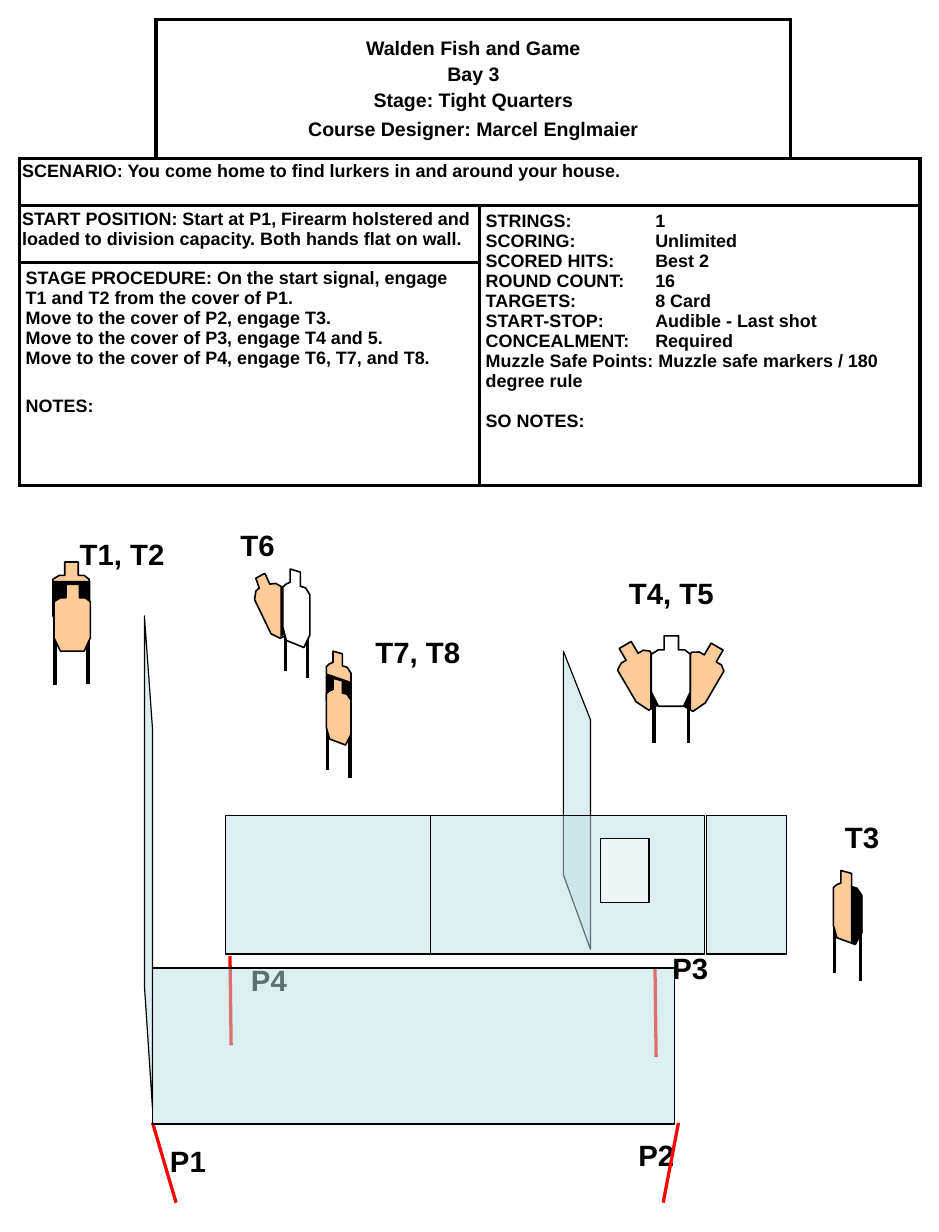
from dataclasses import dataclass
from typing import Optional, Union

from lxml import etree
from pptx import Presentation
from pptx.dml.color import RGBColor
from pptx.enum import shapes, text
from pptx.oxml import ns
from pptx.util import Pt

BLACK = RGBColor(0, 0, 0)
WHITE = RGBColor(0xFF, 0xFF, 0xFF)
RED = RGBColor(0xFF, 0, 0)
CARDBOARD = RGBColor(0xFF, 0xCC, 0x99)
WALL = RGBColor(0xBB, 0xE0, 0xE3)
FONT = "Arial"

FRONT = [(.33, 0), (.7, 0), (.7, .2), (.86, .2), (1, .26), (1, .8), (.83, 1), (.18, 1),
         (0, .8), (0, .26), (.18, .2), (.33, .2)]
ANGLED = [(.65, .04), (.27, 0), (.27, .17), (.13, .19), (0, .23), (0, .74), (.13, .91),
          (.78, 1), (1, .84), (1, .33), (.84, .24), (.65, .22)]
TILTED = [(.22, 0), (.03, .07), (.11, .22), (.03, .27), (0, .4), (.39, .93), (.61, 1),
          (1, .87), (.97, .65), (.64, .2), (.5, .15), (.36, .16), (.25, 0)]
FRONT_COVER = [(0, 0), (1, 0), (1, .73), (.8, 1), (.18, 1), (0, .73)]
ANGLED_COVER = [(1, .2), (1, .81), (.8, 1), (.2, .92), (0, .67), (.03, 0)]
HALF_COVER = [(1, .82), (.35, 1), (0, .98), (0, 0), (.35, .02), (1, .17)]
LEFT_COVER = [(0, 1), (1, .8), (.95, .55), (0, 0)]
RIGHT_COVER = [(1 - x, y) for x, y in LEFT_COVER]
SIDE_WALL = [(1, 1), (1, .23), (0, 0), (0, .75)]


@dataclass(frozen=True)
class Panel:
    outline: list
    box: tuple
    fill: RGBColor = CARDBOARD
    rotation: float = 0


@dataclass(frozen=True)
class Stake:
    x: float
    top: float
    bottom: float
    width: float = 2.25


@dataclass(frozen=True)
class Entry:
    words: str
    before: float = 0
    align: Optional[text.PP_ALIGN] = None
    spacing: Optional[float] = None


T1_T2 = [Stake(33.8, 375.1, 420.5), Stake(54, 375.1, 419.8),
         Panel(FRONT, (32.4, 344.9, 22.3, 41)),
         Panel(FRONT_COVER, (32.4, 356.4, 23, 29.5), BLACK),
         Panel(FRONT, (33.1, 358.6, 22.3, 41))]
T3 = [Stake(527.8, 570.2, 601.9), Stake(511.9, 565.2, 596.9),
      Panel(ANGLED, (511.2, 534.2, 17.3, 45.4)),
      Panel(HALF_COVER, (522, 543.6, 7.2, 35.3), BLACK)]
T4_T5 = [Panel(FRONT, (417.6, 393.8, 23, 41.8), rotation=30.3),
         Panel(RIGHT_COVER, (411.8, 400.3, 12.2, 35.3), BLACK),
         Panel(FRONT, (382.3, 393.1, 23, 41.8), rotation=329.7),
         Panel(LEFT_COVER, (398.9, 400.3, 12.2, 35.3), BLACK),
         Stake(422.3, 401, 455.8), Stake(401, 401, 455.8),
         Panel(FRONT, (399.6, 390.2, 23.8, 43.2), WHITE)]
T6 = [Panel(TILTED, (156.2, 352.1, 25.9, 39.6)),
      Panel(LEFT_COVER, (172.1, 359.3, 9.4, 31.7), BLACK),
      Stake(188.6, 379.4, 416.2, 2), Stake(175.2, 373.7, 411.8, 2),
      Panel(ANGLED, (173.5, 349.2, 16.6, 48.2), WHITE)]
T7_T8 = [Panel(ANGLED, (200.2, 399.6, 15.1, 41)),
         Panel(ANGLED_COVER, (200.2, 413.3, 15.1, 25.9), BLACK),
         Stake(214.6, 449.3, 477.4), Stake(200.9, 445, 472.3),
         Panel(ANGLED, (200.2, 416.2, 15.1, 41))]

CENTER = text.PP_ALIGN.CENTER
HEADER = [Entry("Walden Fish and Game", 0, CENTER), Entry("Bay 3", 2.4, CENTER),
          Entry("Stage: Tight Quarters", 2.4, CENTER),
          Entry("Course Designer: Marcel Englmaier", 4.2, CENTER)]
SCENARIO = [Entry("SCENARIO: You come home to find lurkers in and around your house.", spacing=.9)]
START = [Entry("START POSITION: Start at P1, Firearm holstered and loaded to division capacity. "
               "Both hands flat on wall.")]
RULES = [Entry("STRINGS:\t1"), Entry("SCORING:\tUnlimited"), Entry("SCORED HITS:\tBest 2"),
         Entry("ROUND COUNT:\t16"), Entry("TARGETS:\t8 Card"),
         Entry("START-STOP:\tAudible - Last shot"), Entry("CONCEALMENT:\tRequired"),
         Entry("Muzzle Safe Points: Muzzle safe markers / 180 degree rule"),
         Entry("SO NOTES:", 12.6)]
PROCEDURE = [Entry("STAGE PROCEDURE: On the start signal, engage T1 and T2 from the cover of P1.\n"
                   "Move to the cover of P2, engage T3.\n"
                   "Move to the cover of P3, engage T4 and 5.\n"
                   "Move to the cover of P4, engage T6, T7, and T8."),
             Entry("NOTES:", 17)]


def add_words(paragraph, words: str, size: float) -> None:
    for number, line in enumerate(words.split("\n")):
        if number:
            paragraph.add_line_break()
        run = paragraph.add_run()
        run.text = line
        run.font.name, run.font.size, run.font.bold = FONT, Pt(size), True
        run.font.color.rgb = BLACK


def paint(shape, fill: RGBColor, line: float, opacity: int = 100) -> None:
    shape.shadow.inherit = False
    shape.fill.solid()
    shape.fill.fore_color.rgb = fill
    if opacity < 100:
        color = shape.fill._xPr.find(ns.qn("a:solidFill"))[0]
        etree.SubElement(color, ns.qn("a:alpha"), val=str(opacity * 1000))
    if line:
        shape.line.color.rgb = BLACK
        shape.line.width = Pt(line)
    else:
        shape.line.fill.background()


def draw_line(canvas, ends: tuple, color: RGBColor, width: float) -> None:
    line = canvas.add_connector(shapes.MSO_CONNECTOR.STRAIGHT, *map(Pt, ends))
    line.line.color.rgb = color
    line.line.width = Pt(width)
    etree.SubElement(line._element.spPr, ns.qn("a:effectLst"))


def draw_outline(canvas, outline: list, box: tuple):
    left, top, width, height = box
    points = [(Pt(left + x * width), Pt(top + y * height)) for x, y in outline]
    builder = canvas.build_freeform(*points[0])
    builder.add_line_segments(points[1:], close=True)
    return builder.convert_to_shape()


def draw_target(slide, parts: list[Union[Panel, Stake]]) -> None:
    canvas = slide.shapes.add_group_shape().shapes
    for part in parts:
        if isinstance(part, Stake):
            draw_line(canvas, (part.x, part.top, part.x, part.bottom), BLACK, part.width)
        else:
            panel = draw_outline(canvas, part.outline, part.box)
            panel.rotation = part.rotation
            paint(panel, part.fill, 0 if part.fill == BLACK else 1)


def draw_wall(canvas, box: tuple, fill: RGBColor = WALL) -> None:
    wall = canvas.add_shape(shapes.MSO_SHAPE.RECTANGLE, *map(Pt, box))
    paint(wall, fill, .75, 50)


def draw_side_wall(slide, box: tuple) -> None:
    paint(draw_outline(slide.shapes, SIDE_WALL, box), WALL, .75, 50)


def draw_label(slide, words: str, left: float, top: float) -> None:
    label = slide.shapes.add_textbox(Pt(left), Pt(top), Pt(42 if words[0] == "P" else 85), Pt(29))
    label.text_frame.word_wrap = True
    label.text_frame.auto_size = text.MSO_AUTO_SIZE.SHAPE_TO_FIT_TEXT
    add_words(label.text_frame.paragraphs[0], words, 18)


def style_cell(cell, sides: str) -> None:
    properties = cell._tc.get_or_add_tcPr()
    for side in "LRTB":
        border = etree.SubElement(properties, ns.qn(f"a:ln{side}"), w=str(Pt(2.25)))
        if side in sides:
            fill = etree.SubElement(border, ns.qn("a:solidFill"))
            etree.SubElement(fill, ns.qn("a:srgbClr"), val=str(BLACK))
        else:
            etree.SubElement(border, ns.qn("a:noFill"))
    cell.fill.solid()
    cell.fill.fore_color.rgb = WHITE


def fill_cell(cell, entries: list[Entry], side: float, edge: float, size: float = 11) -> None:
    cell.margin_left = cell.margin_right = Pt(side)
    cell.margin_top = cell.margin_bottom = Pt(edge)
    for number, entry in enumerate(entries):
        frame = cell.text_frame
        paragraph = frame.add_paragraph() if number else frame.paragraphs[0]
        paragraph.space_before = Pt(entry.before)
        paragraph.alignment = entry.align
        paragraph.line_spacing = entry.spacing
        if "\t" in entry.words:
            stops = etree.SubElement(paragraph._p.get_or_add_pPr(), ns.qn("a:tabLst"))
            etree.SubElement(stops, ns.qn("a:tab"), pos=str(Pt(104)), algn="l")
        add_words(paragraph, entry.words, size)


def draw_briefing(slide) -> None:
    widths, heights = (83.5, 198.7, 190.8, 79.2), (85, 28.8, 35.3, 136.8)
    frame = slide.shapes.add_table(4, 4, Pt(12.2), Pt(12.2), Pt(sum(widths)), Pt(sum(heights)))
    table = frame.table
    table.first_row = table.horz_banding = False
    for column, width in zip(table.columns, widths):
        column.width = Pt(width)
    for row, height in zip(table.rows, heights):
        row.height = Pt(height)
    corners = {(0, 0): "RB", (0, 3): "LB"}
    for row in range(4):
        for column in range(4):
            style_cell(table.cell(row, column), corners.get((row, column), "LRTB"))
    for first, last in (((0, 1), (0, 2)), ((1, 0), (1, 3)), ((2, 0), (2, 1)),
                        ((2, 2), (3, 3)), ((3, 0), (3, 1))):
        table.cell(*first).merge(table.cell(*last))
    fill_cell(table.cell(0, 1), HEADER, 3.6, 3.6, 12)
    table.cell(0, 1).vertical_anchor = text.MSO_ANCHOR.MIDDLE
    fill_cell(table.cell(1, 0), SCENARIO, 1.4, 2.9)
    fill_cell(table.cell(2, 0), START, 1.4, 2.2)
    fill_cell(table.cell(2, 2), RULES, 3.6, 3.6)
    fill_cell(table.cell(3, 0), PROCEDURE, 3.6, 3.6)


def main() -> None:
    deck = Presentation()
    deck.slide_width, deck.slide_height = Pt(576), Pt(756)
    slide = deck.slides.add_slide(deck.slide_layouts[6])
    draw_briefing(slide)
    draw_line(slide.shapes, (93.6, 689, 108, 738), RED, 2)
    draw_label(slide, "P1", 97.2, 697.7)
    draw_label(slide, "T1, T2", 41.8, 325.4)
    for left, width in ((433.4, 49), (138.2, 126)):
        draw_wall(slide.shapes, (left, 500.4, width, 85))
    draw_side_wall(slide, (88.6, 378, 5, 302.4))
    draw_target(slide, T1_T2)
    draw_label(slide, "P2", 384.5, 694.1)
    draw_target(slide, T3)
    draw_line(slide.shapes, (416.2, 689, 406.8, 738), RED, 2)
    draw_target(slide, T4_T5)
    draw_side_wall(slide, (345.6, 399.6, 16.6, 182.9))
    window_wall = slide.shapes.add_group_shape().shapes
    draw_wall(window_wall, (264.2, 500.4, 167.8, 85))
    draw_wall(window_wall, (368.6, 514.8, 29.5, 38.9), WHITE)
    for words, left, top in (("T4, T5", 378.7, 349.2), ("T3", 511.2, 499),
                             ("P3", 405.4, 579.6), ("P4", 146.9, 586.8)):
        draw_label(slide, words, left, top)
    for x, top in ((141.1, 586.8), (401.8, 594)):
        draw_line(slide.shapes, (x, top, x + .7, top + 54.7), RED, 2)
    draw_wall(slide.shapes, (93.6, 594, 320.4, 95.8))
    draw_target(slide, T6)
    draw_target(slide, T7_T8)
    draw_label(slide, "T6", 140.4, 319.7)
    draw_label(slide, "T7, T8", 223.2, 385.9)
    deck.save("out.pptx")


if __name__ == "__main__":
    main()
